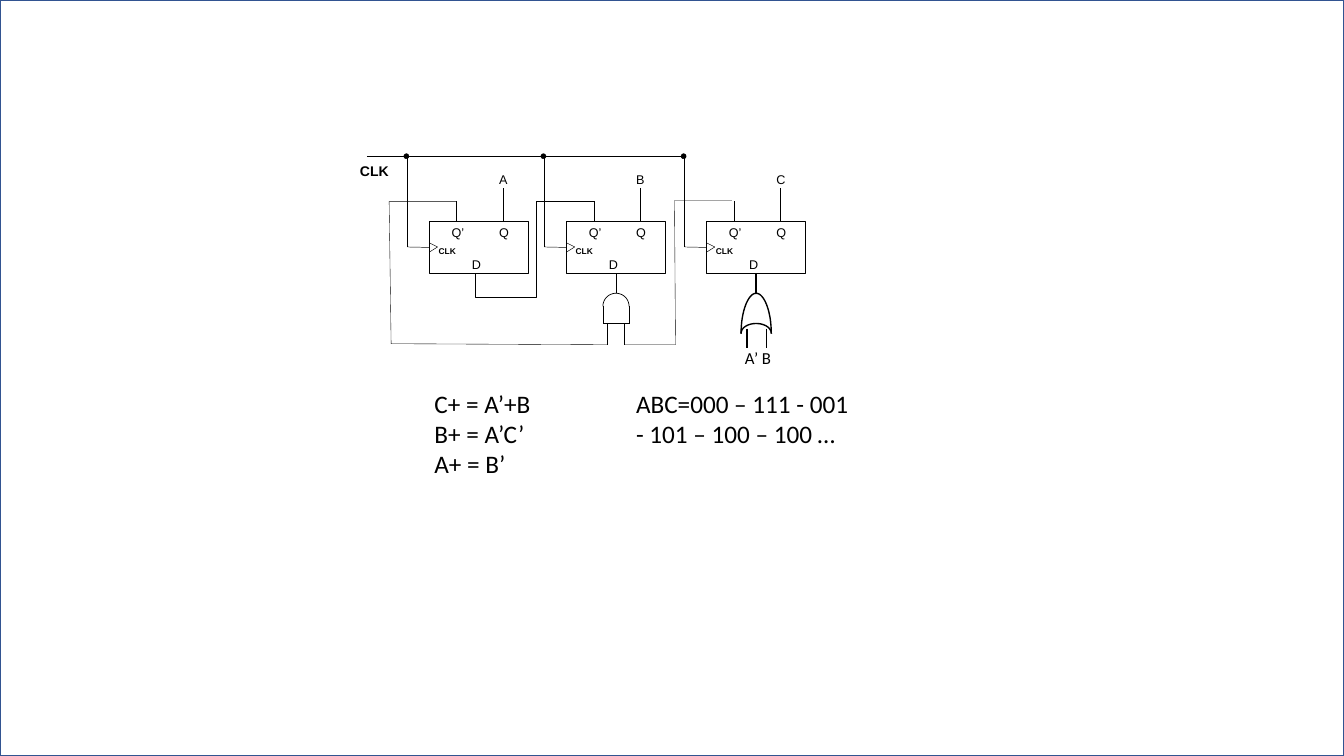
from math import cos, pi, sin

from lxml import etree
from pptx import Presentation
from pptx.dml.color import RGBColor
from pptx.enum.shapes import MSO_CONNECTOR as CONNECTOR, MSO_SHAPE as SHAPE
from pptx.enum.text import MSO_AUTO_SIZE as AUTO_SIZE
from pptx.oxml.ns import qn
from pptx.util import Inches, Pt

# Content: lengths in inches, sizes and line widths in points
COLORS = {"ink": "000000", "frame": "325491"}
SLIDE_WIDTH, SLIDE_HEIGHT = 13.33, 7.5
FLIP_FLOPS = [("A", 4.26), ("B", 5.62), ("C", 7.01)]  # output name, left edge
BOX_TOP, BOX_WIDTH, BOX_HEIGHT = 2.2, 0.98, 0.51
PIN_LABELS = [  # text, offset from box left, top, width, height, size, bold
    ("Q’", 0.22, 2.23, 0.13, 0.15, 9, False),
    ("Q", 0.69, 2.23, 0.1, 0.15, 9, False),
    ("D", 0.42, 2.55, 0.09, 0.15, 9, False),
    ("CLK", 0.09, 2.44, 0.19, 0.1, 6, True),
]
CLOCK_BUS_Y, CLOCK_START = 1.55, 3.64
CLOCK_GAP, DOT_SIZE = 0.22, 0.05
FEEDBACK_WIRES = [
    [(7.26, 1.99), (6.69, 1.99), (6.7, 3.42), (6.19, 3.42)],
    [(4.53, 2), (3.86, 2), (3.88, 3.41), (6.02, 3.42)],
    [(5.89, 2), (5.32, 2), (5.32, 2.95), (4.71, 2.95), (4.71, 2.72)],
]
EQUATIONS = [
    "C+ = A’+B \tABC=000 – 111 - 001",
    "B+ = A’C’ \t\t- 101 – 100 – 100 …",
    "A+ = B’",
]
EQUATION_TABS = (1, 2)
THIN, WIRE, GATE, BOX, HEAVY = 0.25, 0.35, 0.5, 0.8, 1

presentation = Presentation()
presentation.slide_width = Inches(SLIDE_WIDTH)
presentation.slide_height = Inches(SLIDE_HEIGHT)
slide = presentation.slides.add_slide(presentation.slide_layouts[6])
shapes = slide.shapes


def style_outline(shape, width, color="ink"):
    shape.shadow.inherit = False
    shape.fill.background()
    shape.line.color.rgb = RGBColor.from_string(COLORS[color])
    shape.line.width = Pt(width)


def add_box(left, top, width, height, line_width, color="ink"):
    box = shapes.add_shape(SHAPE.RECTANGLE, Inches(left), Inches(top),
                           Inches(width), Inches(height))
    style_outline(box, line_width, color)
    return box


def add_line(start, end, width=WIRE):
    line = shapes.add_connector(CONNECTOR.STRAIGHT,
                                *(Inches(value) for value in start + end))
    line.line.color.rgb = RGBColor.from_string(COLORS["ink"])
    line.line.width = Pt(width)
    etree.SubElement(line._element.spPr, qn("a:effectLst"))
    return line


def add_path(points, width):
    first, *rest = [(Inches(x), Inches(y)) for x, y in points]
    builder = shapes.build_freeform(*first)
    builder.add_line_segments(rest, close=False)
    style_outline(builder.convert_to_shape(), width)


def add_text(lines, left, top, width, height, size, font="Arial", bold=False,
             wrap=False, inset=True, tabs=()):
    box = shapes.add_textbox(Inches(left), Inches(top),
                             Inches(width), Inches(height))
    frame = box.text_frame
    frame.word_wrap = wrap
    frame.auto_size = AUTO_SIZE.SHAPE_TO_FIT_TEXT
    if not inset:
        frame.margin_left = frame.margin_right = 0
        frame.margin_top = frame.margin_bottom = 0
    frame.text = "\n".join(lines)
    for paragraph in frame.paragraphs:
        if tabs:
            properties = paragraph._p.get_or_add_pPr()
            tab_list = etree.SubElement(properties, qn("a:tabLst"))
            for position in tabs:
                etree.SubElement(tab_list, qn("a:tab"),
                                 pos=str(Inches(position)), algn="l")
        for run in paragraph.runs:
            run.font.name = font
            run.font.size = Pt(size)
            run.font.bold = bold
            run.font.color.rgb = RGBColor.from_string(COLORS["ink"])


def curve(p0, p1, p2, p3, steps=16):
    """Points along a cubic Bezier curve."""
    points = []
    for step in range(steps + 1):
        t = step / steps
        weights = ((1 - t) ** 3, 3 * t * (1 - t) ** 2, 3 * t * t * (1 - t), t ** 3)
        points.append(tuple(sum(weight * point[axis] for weight, point
                                in zip(weights, (p0, p1, p2, p3)))
                            for axis in (0, 1)))
    return points


# Slide frame
add_box(0, 0, SLIDE_WIDTH, SLIDE_HEIGHT, HEAVY, "frame")

# Flip-flops with pins, outputs and clock taps
flip_flops = {}
for name, left in FLIP_FLOPS:
    box = add_box(left, BOX_TOP, BOX_WIDTH, BOX_HEIGHT, BOX)
    flip_flops[name] = box
    add_line((left, 2.41), (left + 0.08, 2.45))
    add_line((left + 0.08, 2.45), (left, 2.5))
    for text, offset, top, width, height, size, bold in PIN_LABELS:
        add_text([text], left + offset, top, width, height, size,
                 bold=bold, inset=False)
    add_line((left + 0.27, BOX_TOP), (left + 0.27, 1.99))
    add_line((left + 0.73, BOX_TOP), (left + 0.73, 1.87))
    add_text([name], left + 0.69, 1.71, 0.08, 0.15, 9, inset=False)

    tap = left - CLOCK_GAP
    add_line((tap, CLOCK_BUS_Y), (tap, 2.45))
    add_line((tap, 2.45), (left, 2.45)).end_connect(box, 1)
    dot = shapes.add_shape(SHAPE.OVAL, Inches(tap - DOT_SIZE / 2 - 0.01),
                           Inches(CLOCK_BUS_Y - DOT_SIZE / 2),
                           Inches(DOT_SIZE), Inches(DOT_SIZE))
    style_outline(dot, WIRE)
    dot.fill.solid()
    dot.fill.fore_color.rgb = RGBColor.from_string(COLORS["ink"])

# Clock bus
add_line((CLOCK_START, CLOCK_BUS_Y), (FLIP_FLOPS[-1][1] - CLOCK_GAP, CLOCK_BUS_Y))
add_text(["CLK"], 3.57, 1.61, 0.35, 0.17, 10, bold=True, wrap=True, inset=False)

# Gate stems, each hanging from the middle of a flip-flop
gate_x = {name: left + BOX_WIDTH / 2 for name, left in FLIP_FLOPS}
for name, width in (("B", GATE), ("C", HEAVY)):
    stem = add_line((gate_x[name], BOX_TOP + BOX_HEIGHT), (gate_x[name], 2.91), width)
    stem.begin_connect(flip_flops[name], 2)

# AND gate: a base, and on each side a quarter circle, a wall and an input
and_x, radius = gate_x["B"], 0.13
add_line((and_x + radius, 3.21), (and_x - radius, 3.21), GATE)
for side, input_x in ((-1, 6.02), (1, 6.19)):
    wall_x = and_x + side * radius
    angles = [pi * step / 32 for step in range(17)]
    add_path([(and_x + side * radius * cos(angle), 3.04 - radius * sin(angle))
              for angle in angles], GATE)
    add_line((wall_x, 3.21), (wall_x, 3.04), GATE)
    add_line((input_x, 3.21), (input_x, 3.42), GATE)

# OR gate: on each side a long curve, a base curve and an input
or_x, half = gate_x["C"], 0.15
for side, input_x in ((-1, 7.41), (1, 7.6)):
    edge_x, control_x = or_x + side * half, or_x + side * 0.08
    for control_y, end_y in ((3.09, 2.91), (3.25, 3.21)):
        add_path(curve((edge_x, 3.31), (edge_x, control_y),
                       (control_x, end_y), (or_x, end_y)), HEAVY)
    add_line((input_x, 3.26), (input_x, 3.45), HEAVY)
add_text(["A’ B"], 7.29, 3.4, 0.51, 0.3, 12, "Calibri", wrap=True)

# Feedback wires
for points in FEEDBACK_WIRES:
    add_path(points, THIN)

# Next-state equations and state sequence
add_text(EQUATIONS, 4.21, 3.8, 4.51, 1.01, 18, "Calibri", wrap=True,
         tabs=EQUATION_TABS)

presentation.save("out.pptx")
